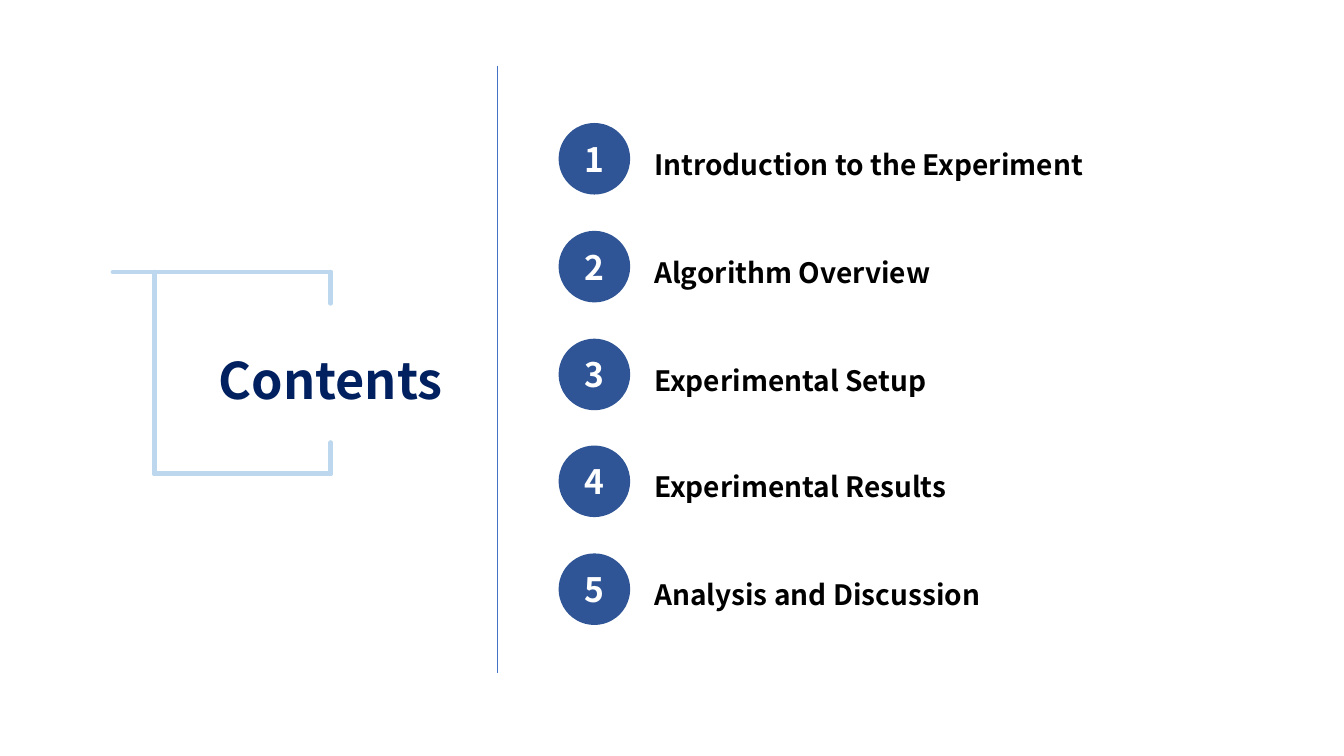
"""Build the contents slide: a bracketed title beside five numbered topics."""
from dataclasses import dataclass

from lxml import etree
from pptx import Presentation
from pptx import util as u
from pptx.dml.color import RGBColor
from pptx.enum import shapes, text
from pptx.oxml.ns import qn

PX = u.Inches(1) // 100
FONT = "Noto Sans CJK SC"
NAVY, BLUE, RULE_BLUE, PALE_BLUE = "002060", "2F5597", "4472C4", "BDD7EE"
BLACK, WHITE = "000000", "FFFFFF"
TOPICS = (
    "Introduction to the Experiment",
    "Algorithm Overview",
    "Experimental Setup",
    "Experimental Results",
    "Analysis and Discussion",
)
FIRST_TOP, LAST_TOP = 122, 549
CIRCLE_LEFT, CIRCLE_SIZE = 554, 71
LABEL_LEFT, LABEL_WIDTH, LABEL_HEIGHT, LABEL_DROP = 639, 466, 48, 11


@dataclass(frozen=True)
class Line:
    """A straight line between two points in px."""

    x1: int
    y1: int
    x2: int
    y2: int
    color: str = PALE_BLUE
    width: float = 3.25
    rounded: bool = True


@dataclass(frozen=True)
class TextStyle:
    """The size, colour and paragraph format of a piece of text."""

    size: int
    color: str
    alignment: text.PP_ALIGN
    line_spacing: float
    anchor: text.MSO_ANCHOR


LINES = (
    Line(493, 65, 493, 668, RULE_BLUE, 0.5, False),
    Line(112, 270, 328, 270),
    Line(153, 470, 328, 470),
    Line(153, 270, 153, 470),
    Line(328, 270, 328, 301),
    Line(328, 439, 328, 470),
)
TITLE = TextStyle(36, NAVY, text.PP_ALIGN.CENTER, 1.25, text.MSO_ANCHOR.TOP)
NUMBER = TextStyle(24, WHITE, text.PP_ALIGN.CENTER, 1.0, text.MSO_ANCHOR.MIDDLE)
LABEL = TextStyle(20, BLACK, text.PP_ALIGN.LEFT, 1.25, text.MSO_ANCHOR.TOP)


def px(*lengths: int) -> list[int]:
    """Turn px lengths into EMU."""
    return [length * PX for length in lengths]


def rgb(color: str) -> RGBColor:
    """Turn a hex string into a colour."""
    return RGBColor.from_string(color)


def apply(target, values: dict) -> None:
    """Set each named attribute on the target."""
    for name, value in values.items():
        setattr(target, name, value)


def write(shape, content: str, style: TextStyle) -> None:
    """Put one styled paragraph into a shape."""
    frame = shape.text_frame
    apply(frame, {"word_wrap": True, "auto_size": text.MSO_AUTO_SIZE.NONE,
                  "vertical_anchor": style.anchor})
    paragraph = frame.paragraphs[0]
    apply(paragraph, {"alignment": style.alignment, "line_spacing": style.line_spacing})
    run = paragraph.add_run()
    run.text = content
    apply(run.font, {"name": FONT, "size": u.Pt(style.size), "bold": True})
    run.font.color.rgb = rgb(style.color)


def draw_title(slide) -> None:
    """Place and fill the title placeholder."""
    title = slide.shapes.title
    apply(title, dict(zip(("left", "top", "width", "height"), px(190, 326, 276, 81))))
    write(title, "Contents", TITLE)


def draw_line(slide, line: Line) -> None:
    """Draw one line without a shadow."""
    connector = slide.shapes.add_connector(
        shapes.MSO_CONNECTOR.STRAIGHT, *px(line.x1, line.y1, line.x2, line.y2))
    connector.line.color.rgb = rgb(line.color)
    connector.line.width = u.Pt(line.width)
    properties = connector._element.spPr
    if line.rounded:
        properties.find(qn("a:ln")).set("cap", "rnd")
    etree.SubElement(properties, qn("a:effectLst"))


def draw_topic(slide, number: int, topic: str, top: int) -> None:
    """Draw a numbered circle and its topic label."""
    circle = slide.shapes.add_shape(
        shapes.MSO_SHAPE.OVAL, *px(CIRCLE_LEFT, top, CIRCLE_SIZE, CIRCLE_SIZE))
    circle.shadow.inherit = False
    circle.fill.solid()
    circle.fill.fore_color.rgb = rgb(BLUE)
    circle.line.fill.background()
    write(circle, str(number), NUMBER)
    label = slide.shapes.add_textbox(
        *px(LABEL_LEFT, top + LABEL_DROP, LABEL_WIDTH, LABEL_HEIGHT))
    write(label, topic, LABEL)


def main() -> None:
    """Build and save the presentation."""
    presentation = Presentation()
    apply(presentation, dict(zip(("slide_width", "slide_height"), px(1333, 750))))
    slide = presentation.slides.add_slide(presentation.slide_layouts[5])
    draw_title(slide)
    for line in LINES:
        draw_line(slide, line)
    pitch = (LAST_TOP - FIRST_TOP) / (len(TOPICS) - 1)
    for index, topic in enumerate(TOPICS):
        draw_topic(slide, index + 1, topic, round(FIRST_TOP + index * pitch))
    presentation.save("out.pptx")


if __name__ == "__main__":
    main()
